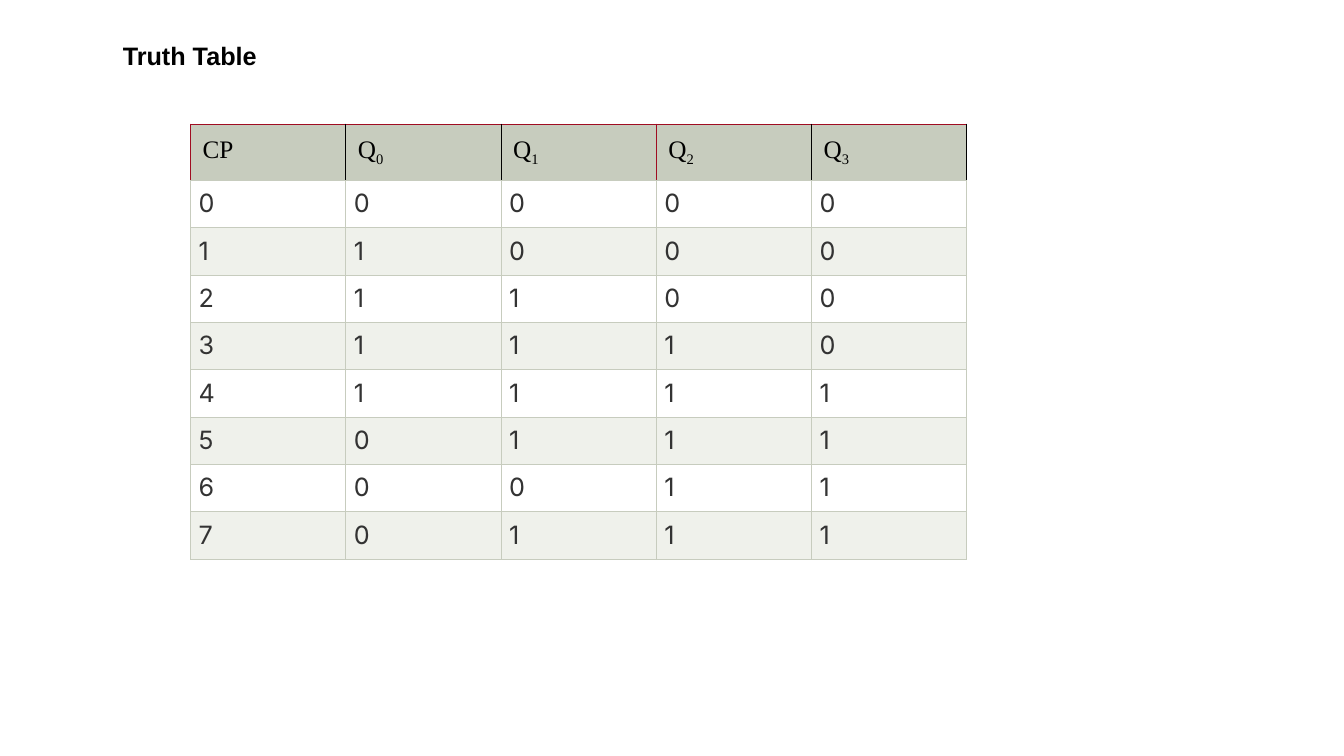
"""Build a slide with the truth table of a four-bit shift counter."""
from pptx import Presentation
from pptx import util as u
from pptx.dml.color import RGBColor
from pptx.enum import shapes, text
from pptx.oxml.ns import qn
from lxml import etree

TITLE = "Truth Table"
HEADS = [("CP", ""), ("Q", "0"), ("Q", "1"), ("Q", "2"), ("Q", "3")]
ROWS = ["00000", "11000", "21100", "31110", "41111", "50111", "60011", "70111"]
RED, DARK, SAGE, PALE, WHITE = "A00C22", "000000", "C7CCBE", "EFF1EB", "FFFFFF"
EDGES = [RED, DARK, DARK, RED, DARK, DARK]
LEFT, TOP, WIDE = 1.89, 1.23, 1.54
HEAD, TALL = 0.56, 0.47


def paint(item, hue):
    item.fill.solid()
    item.fill.fore_color.rgb = RGBColor.from_string(hue)


def style(para, face, hue, bold=False):
    font = para.font
    font.name, font.size, font.bold = face, u.Pt(18), bold
    font.color.rgb = RGBColor.from_string(hue)


def border(cell, hues):
    props = cell._tc.get_or_add_tcPr()
    for i, (side, hue) in enumerate(zip("LRTB", hues)):
        line = etree.Element(qn("a:ln" + side), w=str(u.Pt(0.75)))
        fill = etree.SubElement(line, qn("a:solidFill"))
        etree.SubElement(fill, qn("a:srgbClr"), val=hue)
        props.insert(i, line)


def dress(cell, pad, hue, hues):
    inset = u.Inches(pad)
    cell.margin_left = cell.margin_right = inset
    cell.margin_top = cell.margin_bottom = inset
    paint(cell, hue)
    border(cell, hues)


def add_grid(slide):
    count = len(HEADS)
    high = HEAD + TALL * len(ROWS)
    frame = slide.shapes.add_table(
        len(ROWS) + 1, count, u.Inches(LEFT), u.Inches(TOP),
        u.Inches(WIDE * count), u.Inches(high))
    grid = frame.table
    for col in grid.columns:
        col.width = u.Inches(WIDE)
    for r, row in enumerate(grid.rows):
        row.height = u.Inches(TALL if r else HEAD)
    for c, (name, sub) in enumerate(HEADS):
        cell = grid.cell(0, c)
        para = cell.text_frame.paragraphs[0]
        para.add_run().text = name
        if sub:
            run = para.add_run()
            run.text = sub
            run.font._element.set("baseline", "-25000")
        style(para, "Times New Roman", "000000")
        dress(cell, 0.12, SAGE, [EDGES[c], EDGES[c + 1], RED, SAGE])
    for r, bits in enumerate(ROWS, 1):
        for c, bit in enumerate(bits):
            cell = grid.cell(r, c)
            para = cell.text_frame.paragraphs[0]
            para.text = bit
            para.alignment = text.PP_ALIGN.JUSTIFY
            style(para, "Inter", "333333")
            dress(cell, 0.08, WHITE if r % 2 else PALE, [SAGE] * 4)


def add_title(slide):
    box = slide.shapes.add_shape(
        shapes.MSO_SHAPE.RECTANGLE, u.Inches(1.12), u.Inches(0.35),
        u.Inches(1.54), u.Inches(0.4))
    box.shadow.inherit = False
    box.line.fill.background()
    paint(box, WHITE)
    frame = box.text_frame
    frame.word_wrap = False
    frame.auto_size = text.MSO_AUTO_SIZE.SHAPE_TO_FIT_TEXT
    frame.vertical_anchor = text.MSO_ANCHOR.MIDDLE
    para = frame.paragraphs[0]
    para.text = TITLE
    para.alignment = text.PP_ALIGN.JUSTIFY
    style(para, "Arial", "000000", True)


def main():
    deck = Presentation()
    deck.slide_width, deck.slide_height = u.Inches(13.33), u.Inches(7.5)
    slide = deck.slides.add_slide(deck.slide_layouts[6])
    add_grid(slide)
    add_title(slide)
    deck.save("out.pptx")


if __name__ == "__main__":
    main()
